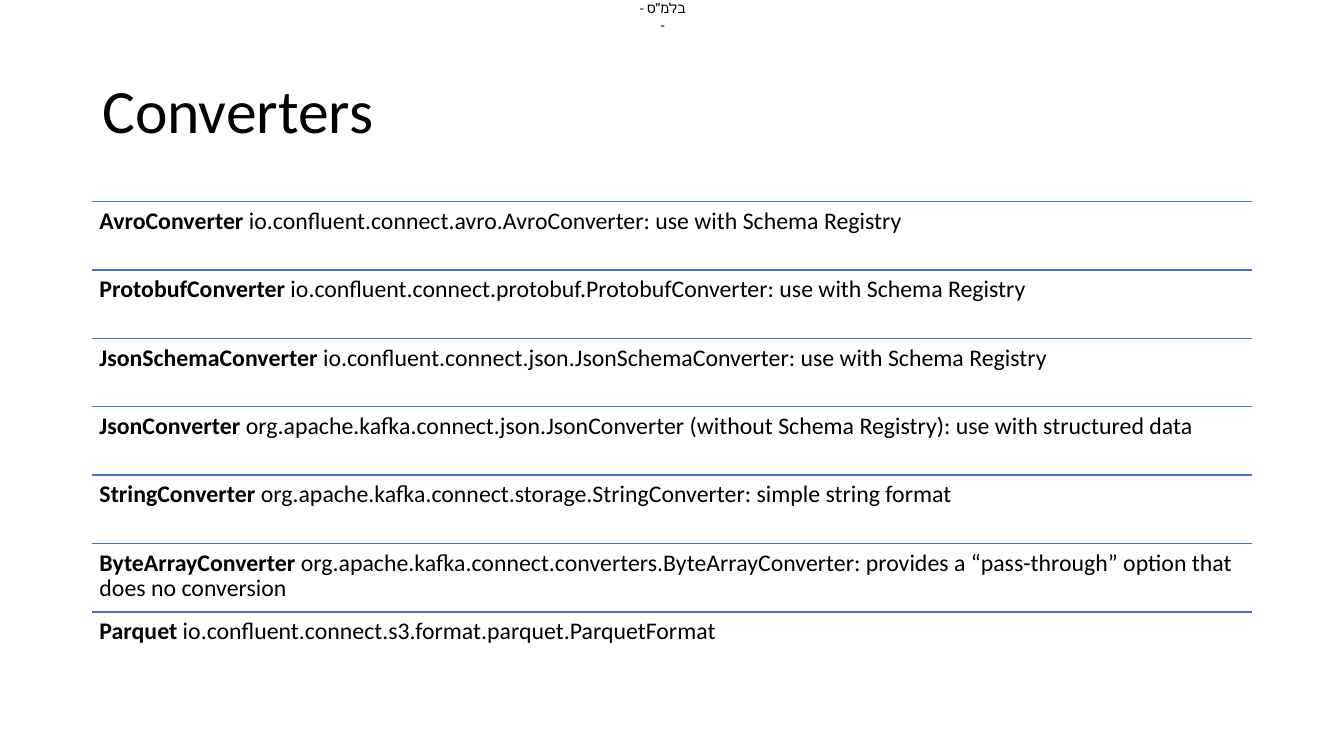
from pptx import Presentation
from pptx.dml.color import RGBColor
from pptx.enum import shapes, text
from pptx.oxml import ns
from pptx.util import Pt
from lxml import etree

BLACK = RGBColor(0x00, 0x00, 0x00)
BLUE = RGBColor(0x43, 0x72, 0xC3)
FONT = "Calibri"
LEFT, WIDTH = 66, 828
FIRST_TOP, ROW_HEIGHT = 144, 48.85

CONVERTERS = [
    ("AvroConverter", " io.confluent.connect.avro.AvroConverter: use with Schema Registry"),
    ("ProtobufConverter", " io.confluent.connect.protobuf.ProtobufConverter: use with Schema Registry"),
    ("JsonSchemaConverter", " io.confluent.connect.json.JsonSchemaConverter: use with Schema Registry"),
    ("JsonConverter", " org.apache.kafka.connect.json.JsonConverter (without Schema Registry): use with structured data"),
    ("StringConverter", " org.apache.kafka.connect.storage.StringConverter: simple string format"),
    ("ByteArrayConverter", " org.apache.kafka.connect.converters.ByteArrayConverter: provides a “pass-through” option that does no conversion"),
    ("Parquet", " io.confluent.connect.s3.format.parquet.ParquetFormat"),
]


def add_text(page, left, top, width, height, content, *, size, bold_lead="",
             inset=(0, 0), spacing=1.0, align=text.PP_ALIGN.LEFT,
             anchor=text.MSO_ANCHOR.TOP):
    box = page.shapes.add_textbox(Pt(left), Pt(top), Pt(width), Pt(height))
    frame = box.text_frame
    frame.word_wrap = True
    frame.vertical_anchor = anchor
    frame.margin_left = frame.margin_right = Pt(inset[0])
    frame.margin_top = frame.margin_bottom = Pt(inset[1])
    para = frame.paragraphs[0]
    para.alignment = align
    para.line_spacing = spacing
    for words, bold in ((bold_lead, True), (content, False)):
        if words:
            span = para.add_run()
            span.text = words
            span.font.name = FONT
            span.font.size = Pt(size)
            span.font.bold = bold
            span.font.color.rgb = BLACK


def add_rule(page, top):
    rule = page.shapes.add_connector(
        shapes.MSO_CONNECTOR.STRAIGHT, Pt(LEFT), Pt(top), Pt(LEFT + WIDTH), Pt(top))
    rule.line.color.rgb = BLUE
    rule.line.width = Pt(1)
    etree.SubElement(rule._element.spPr, ns.qn("a:effectLst"))


def add_converter(page, top, name, description):
    add_rule(page, top)
    add_text(page, LEFT, top, WIDTH, ROW_HEIGHT, description, size=17,
             bold_lead=name, inset=(5.1, 5.1), spacing=0.9)


def main():
    deck = Presentation()
    deck.slide_width, deck.slide_height = Pt(960), Pt(540)
    page = deck.slides.add_slide(deck.slide_layouts[6])
    add_text(page, 455, 0, 36.7, 12.2, "- בלמ\"ס -", size=10,
             align=text.PP_ALIGN.CENTER)
    add_text(page, LEFT, 28.75, WIDTH, 104.4, "Converters ", size=44,
             inset=(7.2, 3.6), spacing=0.9, anchor=text.MSO_ANCHOR.MIDDLE)
    for index, (name, description) in enumerate(CONVERTERS):
        add_converter(page, FIRST_TOP + index * ROW_HEIGHT, name, description)
    deck.save("out.pptx")


if __name__ == "__main__":
    main()
